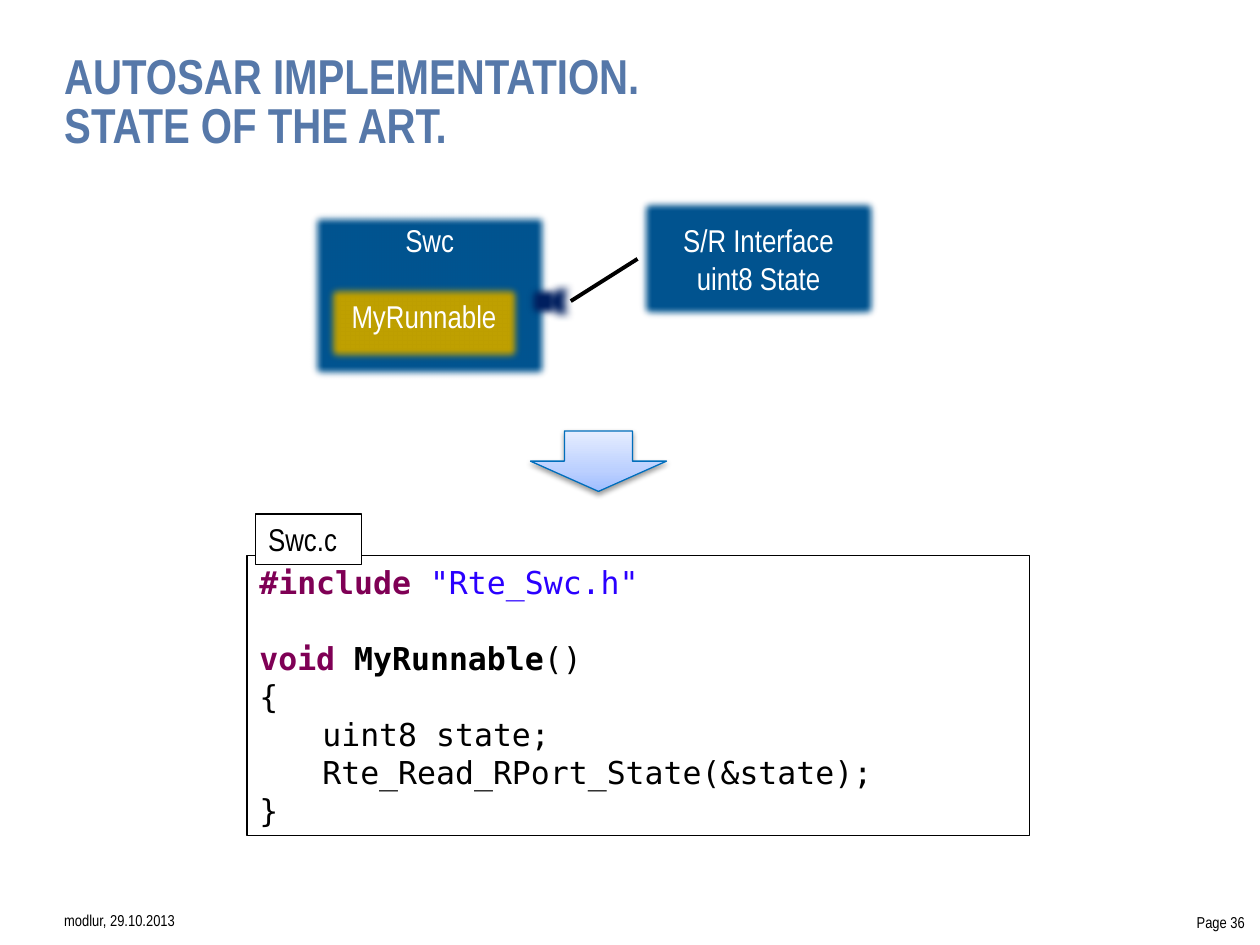
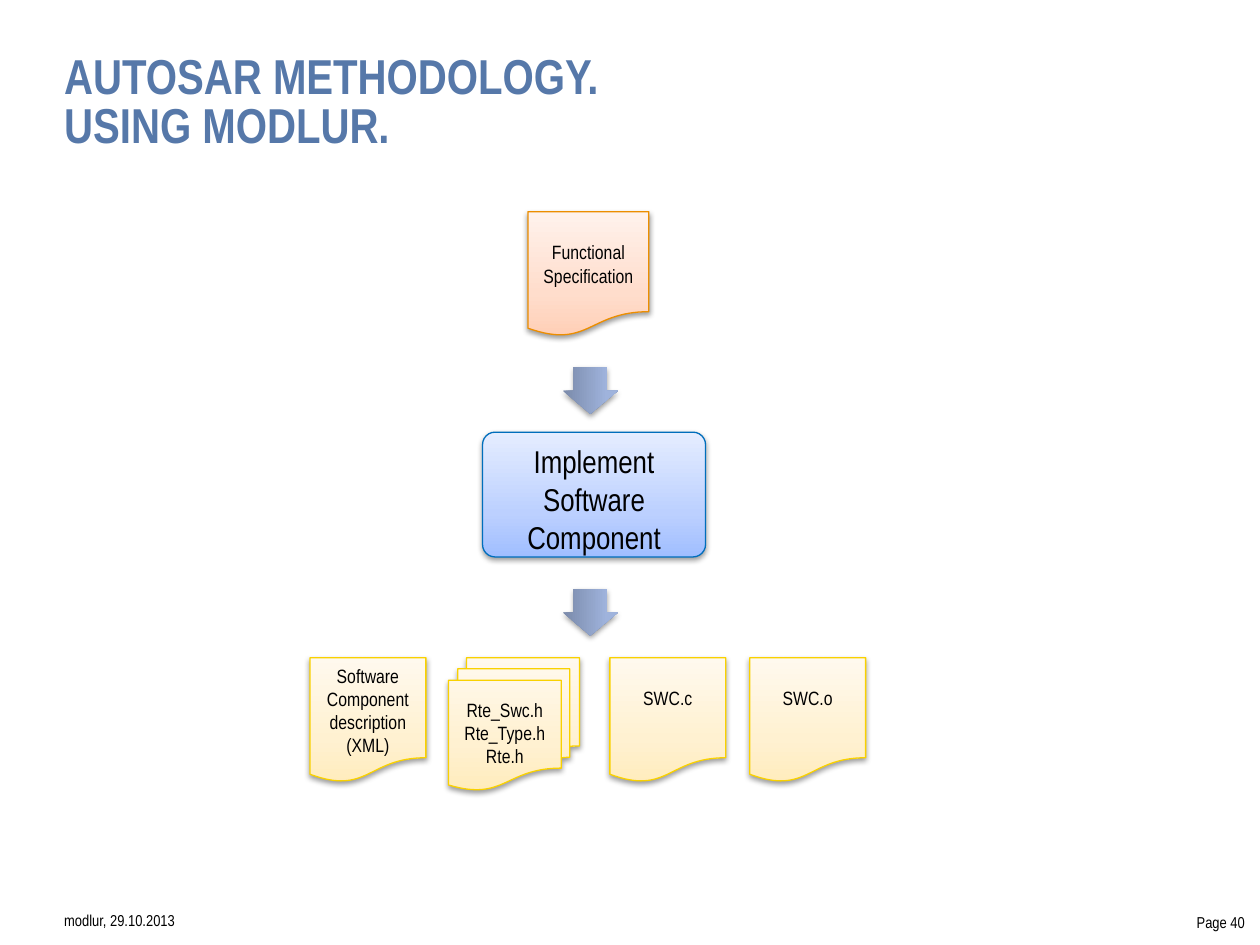
"""Build two AUTOSAR slides: the generated C code and the tool-based methodology."""
from lxml.etree import SubElement
from pptx import Presentation
from pptx.dml.color import RGBColor
from pptx.enum.shapes import MSO_CONNECTOR, MSO_SHAPE as Shape
from pptx.enum.text import MSO_ANCHOR as Anchor, MSO_AUTO_SIZE as AutoSize, PP_ALIGN as Align
from pptx.oxml.ns import qn
from pptx.util import Inches, Pt

NARROW, MONO = "Arial Narrow", "DejaVu Sans Mono"
TITLE, BLACK, WHITE = "5678A9", "000000", "FFFFFF"
NAVY, PORT, GOLD = "005490", "002060", "BFA000"
KEYWORD, LITERAL = "7F0055", "2A00FF"
BLUE = [(0, "A0BEFF"), (35, "BCD0FF"), (100, "E5EDFF")]
STEEL = [(0, "7A8AAA"), (80, "9FB3DC"), (100, "9EB3DF")]
YELLOW = [(0, "FFECBD"), (35, "FFF1D1"), (100, "FFF9EE")]
ORANGE = [(0, "FFCFB6"), (35, "FFDDCC"), (100, "FFF2EC")]
BLUE_EDGE, YELLOW_EDGE, ORANGE_EDGE = "006EBC", "F9D100", "EC8E00"


def rgb(code):
    return RGBColor.from_string(code)


def lengths(*values):
    return [Inches(value) for value in values]


class Deck:
    def __init__(self):
        self.show = Presentation()
        self.show.slide_width, self.show.slide_height = lengths(10, 7.5)
        self.slide = None

    def new_slide(self, heading, number):
        self.slide = self.show.slides.add_slide(self.show.slide_layouts[5])
        title = self.slide.shapes.title
        title.left, title.top, title.width, title.height = lengths(0.51, 0.44, 9, 1.05)
        self.label(title, heading, 28, TITLE, Align.LEFT, insets=(0, 0, 0, 0), bold=True, pitch=28)
        self.footer("modlur, 29.10.2013", (0.51, 7.12, 4.4, 0.36), Align.LEFT)
        self.footer(f"Page {number}", (6.61, 7.14, 3.27, 0.36), Align.RIGHT)

    def footer(self, text, box, align):
        note = self.slide.shapes.add_textbox(*lengths(*box))
        self.label(note, text, 9, BLACK, align, Anchor.MIDDLE, (0, 0, 0, 0))

    def frame(self, shape, anchor=Anchor.TOP, insets=(0.1, 0.05, 0.1, 0.05)):
        frame = shape.text_frame
        frame.word_wrap, frame.auto_size = True, AutoSize.NONE
        frame.vertical_anchor = anchor
        (frame.margin_left, frame.margin_top,
         frame.margin_right, frame.margin_bottom) = lengths(*insets)
        return frame

    def style(self, run, size, color, font=NARROW, bold=False):
        run.font.name, run.font.size, run.font.bold = font, Pt(size), bold
        run.font.color.rgb = rgb(color)

    def label(self, shape, text, size, color, align=Align.CENTER, anchor=Anchor.TOP,
              insets=(0.1, 0.05, 0.1, 0.05), bold=False, pitch=None):
        frame = self.frame(shape, anchor, insets)
        frame.text = text
        for paragraph in frame.paragraphs:
            paragraph.alignment = align
            if pitch:
                paragraph.line_spacing = Pt(pitch)
            for run in paragraph.runs:
                self.style(run, size, color, bold=bold)

    def block(self, kind, box, fill=None, edge=None, weight=0.75):
        shape = self.slide.shapes.add_shape(kind, *lengths(*box))
        shape.shadow.inherit = False
        if fill:
            shape.fill.solid()
            shape.fill.fore_color.rgb = rgb(fill)
        else:
            shape.fill.background()
        if edge:
            shape.line.color.rgb, shape.line.width = rgb(edge), Pt(weight)
        else:
            shape.line.fill.background()
        return shape

    def soft_block(self, kind, box, fill):
        shape = self.block(kind, box, fill, NAVY, 2)
        effects = shape.element.spPr.find(qn("a:effectLst"))
        SubElement(effects, qn("a:softEdge"), rad=str(Pt(5)))
        return shape

    def glossy_block(self, kind, box, stops, edge=None):
        shape = self.block(kind, box, edge=edge)
        shape.fill.gradient()
        shape.fill.gradient_angle = 90
        properties = shape.element.spPr
        gradient = properties.find(qn("a:gradFill")).find(qn("a:gsLst"))
        for stop in list(gradient):
            gradient.remove(stop)
        for percent, color in stops:
            stop = SubElement(gradient, qn("a:gs"), pos=str(percent * 1000))
            SubElement(stop, qn("a:srgbClr"), val=color)
        shadow = SubElement(properties.find(qn("a:effectLst")), qn("a:outerShdw"), blurRad="40000",
                            dist="20000", dir="5400000", rotWithShape="0")
        tint = SubElement(shadow, qn("a:srgbClr"), val=BLACK)
        SubElement(tint, qn("a:alpha"), val="38000")
        return shape

    def flow_arrow(self, left, top):
        arrow = self.glossy_block(Shape.RIGHT_ARROW, (left, top, 0.37, 0.44), STEEL)
        arrow.adjustments[0], arrow.adjustments[1] = 0.6, 0.5
        arrow.rotation = 90

    def document(self, box, text, stops=YELLOW, edge=YELLOW_EDGE, top=0.23):
        page = self.glossy_block(Shape.FLOWCHART_DOCUMENT, box, stops, edge)
        self.label(page, text, 11, BLACK, insets=(0.1, top, 0.1, 0.05))

    def link(self, start, end, target, side):
        line = self.slide.shapes.add_connector(MSO_CONNECTOR.STRAIGHT, *lengths(*start, *end))
        line.end_connect(target, side)
        line.line.color.rgb, line.line.width = rgb(BLACK), Pt(2.25)
        SubElement(line.element.spPr, qn("a:effectLst"))

    def code(self, box, lines, gap_before):
        listing = self.block(Shape.RECTANGLE, box, edge=BLACK)
        frame = self.frame(listing, Anchor.MIDDLE)
        for index, parts in enumerate(lines):
            paragraph = frame.add_paragraph() if index else frame.paragraphs[0]
            paragraph.alignment, paragraph.line_spacing = Align.LEFT, Pt(21.7)
            if index == gap_before:
                paragraph.space_before = Pt(21.7)
            for text, color, bold in parts:
                run = paragraph.add_run()
                run.text = text
                self.style(run, 18, color, MONO, bold)


def implementation(deck):
    deck.new_slide("AUTOSAR IMPLEMENTATION.\nSTATE OF THE ART.", 36)
    component = deck.soft_block(Shape.RECTANGLE, (2.45, 1.67, 1.92, 1.35), NAVY)
    deck.label(component, "Swc", 18, WHITE, insets=(0.1, 0.08, 0.1, 0.05))
    port_tip = deck.soft_block(Shape.CHEVRON, (4.21, 2.24, 0.48, 0.31), PORT)
    port_tip.rotation = 180
    deck.soft_block(Shape.RECTANGLE, (4.16, 2.24, 0.31, 0.31), PORT)
    interface = deck.soft_block(Shape.RECTANGLE, (5.06, 1.56, 1.92, 0.99), NAVY)
    deck.label(interface, "S/R Interface\nuint8 State", 18, WHITE, anchor=Anchor.MIDDLE)
    deck.link((4.53, 2.39), (5.06, 2.05), interface, 1)
    runnable = deck.soft_block(Shape.RECTANGLE, (2.57, 2.24, 1.59, 0.65), GOLD)
    deck.label(runnable, "MyRunnable", 18, WHITE, insets=(0.1, 0.12, 0.1, 0.05))

    deck.code((1.96, 4.41, 6.21, 2.22), [
        [("#include ", KEYWORD, True), ('"Rte_Swc.h"', LITERAL, False)],
        [("void ", KEYWORD, True), ("MyRunnable", BLACK, True), ("()", BLACK, False)],
        [("{", BLACK, False)],
        [("\tuint8 state;", BLACK, False)],
        [("\tRte_Read_RPort_State(&state);", BLACK, False)],
        [("}", BLACK, False)],
    ], gap_before=1)
    file_tab = deck.block(Shape.RECTANGLE, (2.03, 4.08, 0.84, 0.4), WHITE, BLACK)
    deck.label(file_tab, "Swc.c", 18, BLACK, Align.LEFT)
    deck.glossy_block(Shape.DOWN_ARROW, (4.21, 3.42, 1.08, 0.48), BLUE, BLUE_EDGE)


def methodology(deck):
    deck.new_slide("AUTOSAR METHODOLOGY.\nUSING MODLUR.", 40)
    for top in (2.88, 4.64):
        deck.flow_arrow(4.5, top)
    activity = deck.glossy_block(Shape.ROUNDED_RECTANGLE, (3.83, 3.43, 1.77, 0.99), BLUE, BLUE_EDGE)
    activity.adjustments[0] = 0.1
    deck.label(activity, "Implement Software Component", 18, BLACK)

    headers = deck.glossy_block(Shape.FLOWCHART_MULTIDOCUMENT, (3.56, 5.22, 1.04, 1.05),
                                YELLOW, YELLOW_EDGE)
    deck.label(headers, "Rte_Swc.h\nRte_Type.h\nRte.h", 11, BLACK, anchor=Anchor.MIDDLE)
    deck.document((2.46, 5.22, 0.92, 0.99), "Software Component description (XML)", top=0.05)
    for left, file_name in ((4.84, "SWC.c"), (5.95, "SWC.o")):
        deck.document((left, 5.22, 0.92, 0.99), file_name)
    deck.document((4.19, 1.68, 0.96, 0.99), "Functional Specification", ORANGE, ORANGE_EDGE)


def main():
    deck = Deck()
    implementation(deck)
    methodology(deck)
    deck.show.save("out.pptx")


if __name__ == "__main__":
    main()
